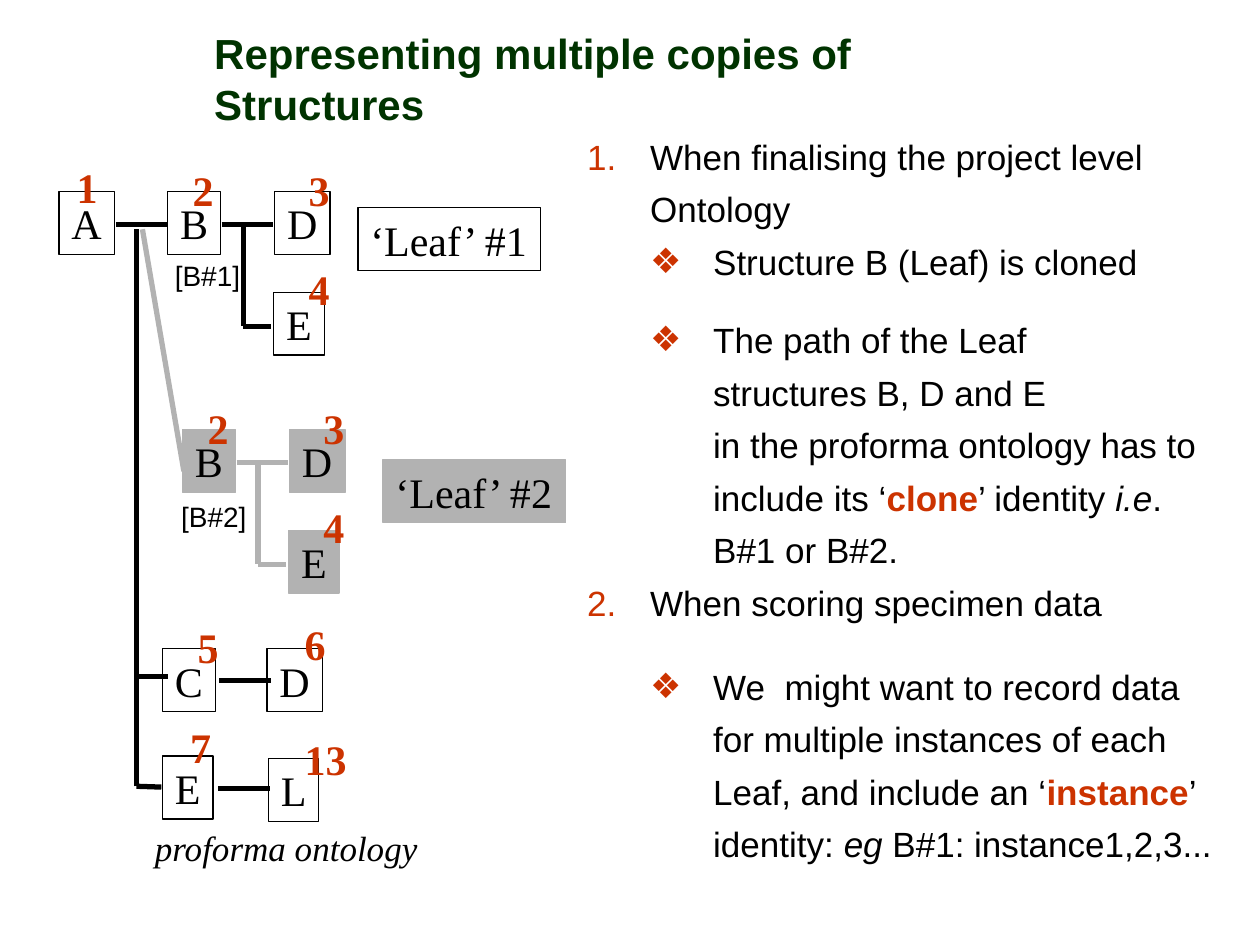
"""Build a slide on representing multiple copies of ontology structures."""
from typing import NamedTuple, Optional

from lxml.etree import SubElement
from pptx import Presentation
from pptx.dml.color import RGBColor
from pptx.enum.shapes import MSO_CONNECTOR, MSO_SHAPE
from pptx.enum.text import MSO_ANCHOR, MSO_AUTO_SIZE, PP_ALIGN
from pptx.oxml.ns import qn
from pptx.util import Pt

COLOURS = {"black": "000000", "grey": "B2B2B2", "red": "CC3300", "green": "003300"}
SERIF, SANS = "Times New Roman", "Arial"
ROW_HEIGHT = 36


class Box(NamedTuple):
    text: str
    left: float
    top: float
    width: float


class Line(NamedTuple):
    x1: float
    y1: float
    x2: float
    y2: float


class Span(NamedTuple):
    text: str
    bold: bool = False
    italic: bool = False
    colour: str = "black"


class Item(NamedTuple):
    spans: list[Span]
    number: Optional[int] = None
    space_before: float = 0


LEAF_NODES = [Box("B", 95.8, 109.4, 30.2), Box("D", 157, 109.4, 31.7), Box("E", 156.5, 167, 28.8)]
LEAF_LINES = [
    Line(126.7, 128.2, 156.2, 128.2),
    Line(139, 128.2, 139, 186.5),
    Line(139, 186.5, 154.8, 186.5),
]
LEAF_NUMBERS = [Box("2", 103, 90.7, 26), Box("3", 169.2, 90.7, 26), Box("4", 169.2, 146.9, 26)]
LEAF_COPY_OFFSET = (8.5, 136)

MAIN_NODES = [
    Box("A", 33.8, 109.4, 31.7),
    Box("C", 92.9, 370.8, 30.2),
    Box("D", 152.6, 370.8, 31.7),
    Box("E", 92.9, 432, 28.8),
    Box("L", 153.4, 433.4, 28.8),
]
MAIN_LINES = [
    Line(66.2, 128.2, 95.8, 128.2),
    Line(78, 449.3, 78, 131),
    Line(78, 386.6, 95.8, 386.6),
    Line(78, 449.3, 92.2, 449.8),
    Line(125.3, 388.8, 154.8, 388.8),
    Line(124.6, 450.7, 154.1, 450.7),
]
MAIN_NUMBERS = [
    Box("1", 36.7, 88.6, 26),
    Box("5", 105.8, 351.4, 26),
    Box("6", 167, 350, 26),
    Box("7", 101.5, 409, 26),
    Box("13", 167, 415.4, 38),
]
CLONE_LABELS = [Box("[B#1]", 92.9, 144, 52), Box("[B#2]", 96.5, 282.2, 52)]

ITEMS = [
    Item([Span("When finalising the project level Ontology")], number=1),
    Item([Span("Structure B (Leaf) is cloned")]),
    Item(
        [
            Span("The path of the Leaf\nstructures B, D and E\n"
                 "in the proforma ontology has to include its ‘"),
            Span("clone", bold=True, colour="red"),
            Span("’ identity "),
            Span("i.e", italic=True),
            Span(". B#1 or B#2."),
        ],
        space_before=15,
    ),
    Item([Span("When scoring specimen data")], number=2),
    Item(
        [
            Span("We  might want to record data for multiple instances of each Leaf, "
                 "and include an ‘"),
            Span("instance", bold=True, colour="red"),
            Span("’ identity: "),
            Span("eg", italic=True),
            Span(" B#1: instance1,2,3..."),
        ],
        space_before=18,
    ),
]


def rgb(name: str) -> RGBColor:
    """Return the named colour."""
    return RGBColor.from_string(COLOURS[name])


def write_text(paragraph, text: str, *, size: float = 24, font: str = SERIF,
               colour: str = "black", bold: bool = False, italic: bool = False) -> None:
    """Append formatted text, turning newlines into line breaks."""
    for index, part in enumerate(text.split("\n")):
        if index:
            paragraph.add_line_break()
        run = paragraph.add_run()
        run.text = part
        run.font.size, run.font.name = Pt(size), font
        run.font.bold, run.font.italic = bold, italic
        run.font.color.rgb = rgb(colour)


def place(shape, left: float, top: float, width: float, height: float) -> None:
    """Move and size a shape in points."""
    shape.left, shape.top, shape.width, shape.height = map(Pt, (left, top, width, height))


def prepare_frame(text_frame, wrap: bool = False):
    """Set a top-anchored, left-aligned frame and return its first paragraph."""
    text_frame.auto_size = MSO_AUTO_SIZE.NONE
    text_frame.word_wrap = wrap
    text_frame.vertical_anchor = MSO_ANCHOR.TOP
    paragraph = text_frame.paragraphs[0]
    paragraph.alignment = PP_ALIGN.LEFT
    return paragraph


def draw_node(slide, box: Box, filled: bool = False) -> None:
    """Draw a lettered rectangle, outlined in black or filled with grey."""
    shape = slide.shapes.add_shape(MSO_SHAPE.RECTANGLE, 0, 0, 0, 0)
    place(shape, box.left, box.top, box.width, ROW_HEIGHT)
    shape.shadow.inherit = False
    if filled:
        shape.fill.solid()
        shape.fill.fore_color.rgb = rgb("grey")
    else:
        shape.fill.background()
    shape.line.color.rgb = rgb("grey" if filled else "black")
    shape.line.width = Pt(0.75)
    write_text(prepare_frame(shape.text_frame), box.text)


def draw_label(slide, box: Box, **text_format) -> None:
    """Draw a plain text label."""
    shape = slide.shapes.add_textbox(0, 0, 0, 0)
    place(shape, box.left, box.top, box.width, ROW_HEIGHT)
    write_text(prepare_frame(shape.text_frame), box.text, **text_format)


def draw_line(slide, line: Line, colour: str = "black") -> None:
    """Draw a branch of the tree."""
    connector = slide.shapes.add_connector(MSO_CONNECTOR.STRAIGHT, *map(Pt, line))
    connector.line.color.rgb = rgb(colour)
    connector.line.width = Pt(3)
    SubElement(connector._element.spPr, qn("a:effectLst"))


def draw_tree(slide, nodes: list[Box], lines: list[Line], numbers: list[Box],
              offset: tuple[float, float] = (0, 0), grey: bool = False) -> None:
    """Draw nodes, branches and red numbers, shifted by an offset."""
    dx, dy = offset
    for box in nodes:
        draw_node(slide, box._replace(left=box.left + dx, top=box.top + dy), grey)
    for line in lines:
        shifted = Line(line.x1 + dx, line.y1 + dy, line.x2 + dx, line.y2 + dy)
        draw_line(slide, shifted, "grey" if grey else "black")
    for box in numbers:
        shifted = box._replace(left=box.left + dx, top=box.top + dy)
        draw_label(slide, shifted, colour="red", bold=True)


def write_item(paragraph, item: Item) -> None:
    """Write a numbered item or an indented bullet."""
    paragraph.level = 0 if item.number else 1
    properties = paragraph._p.get_or_add_pPr()
    properties.set("marL", str(Pt(36 * (paragraph.level + 1))))
    properties.set("indent", str(Pt(-36)))
    bullet_colour = SubElement(properties, qn("a:buClr"))
    SubElement(bullet_colour, qn("a:srgbClr"), val=COLOURS["red"])
    SubElement(properties, qn("a:buFont"), typeface=SANS)
    if item.number:
        SubElement(properties, qn("a:buAutoNum"), type="arabicPeriod", startAt=str(item.number))
    else:
        SubElement(properties, qn("a:buChar"), char="❖")
    paragraph.line_spacing = 1.25
    paragraph.space_before = Pt(item.space_before)
    for span in item.spans:
        write_text(paragraph, span.text, size=20, font=SANS, colour=span.colour,
                   bold=span.bold, italic=span.italic)


def main() -> None:
    """Build and save the presentation."""
    presentation = Presentation()
    presentation.slide_width, presentation.slide_height = Pt(720), Pt(540)
    slide = presentation.slides.add_slide(presentation.slide_layouts[1])
    title, body = slide.placeholders
    place(title, 115.2, 12.2, 504.7, ROW_HEIGHT)
    write_text(prepare_frame(title.text_frame), "Representing multiple copies of Structures",
               font=SANS, colour="green", bold=True)
    place(body, 328.3, 67.7, 376.6, 430.6)
    paragraph = prepare_frame(body.text_frame, wrap=True)
    for index, item in enumerate(ITEMS):
        write_item(body.text_frame.add_paragraph() if index else paragraph, item)

    draw_tree(slide, MAIN_NODES, MAIN_LINES, MAIN_NUMBERS)
    draw_tree(slide, LEAF_NODES, LEAF_LINES, LEAF_NUMBERS)
    draw_tree(slide, LEAF_NODES, LEAF_LINES, LEAF_NUMBERS, LEAF_COPY_OFFSET, grey=True)
    draw_line(slide, Line(81.4, 131, 105.1, 269.3), "grey")
    draw_node(slide, Box("‘Leaf’ #1", 204.5, 118.8, 104.4))
    draw_node(slide, Box("‘Leaf’ #2", 218.9, 262.8, 104.4), filled=True)
    for box in CLONE_LABELS:
        draw_label(slide, box, size=16, font=SANS)
    draw_label(slide, Box("proforma ontology", 81.4, 468.7, 164.9), size=20, italic=True)
    presentation.save("out.pptx")


if __name__ == "__main__":
    main()
